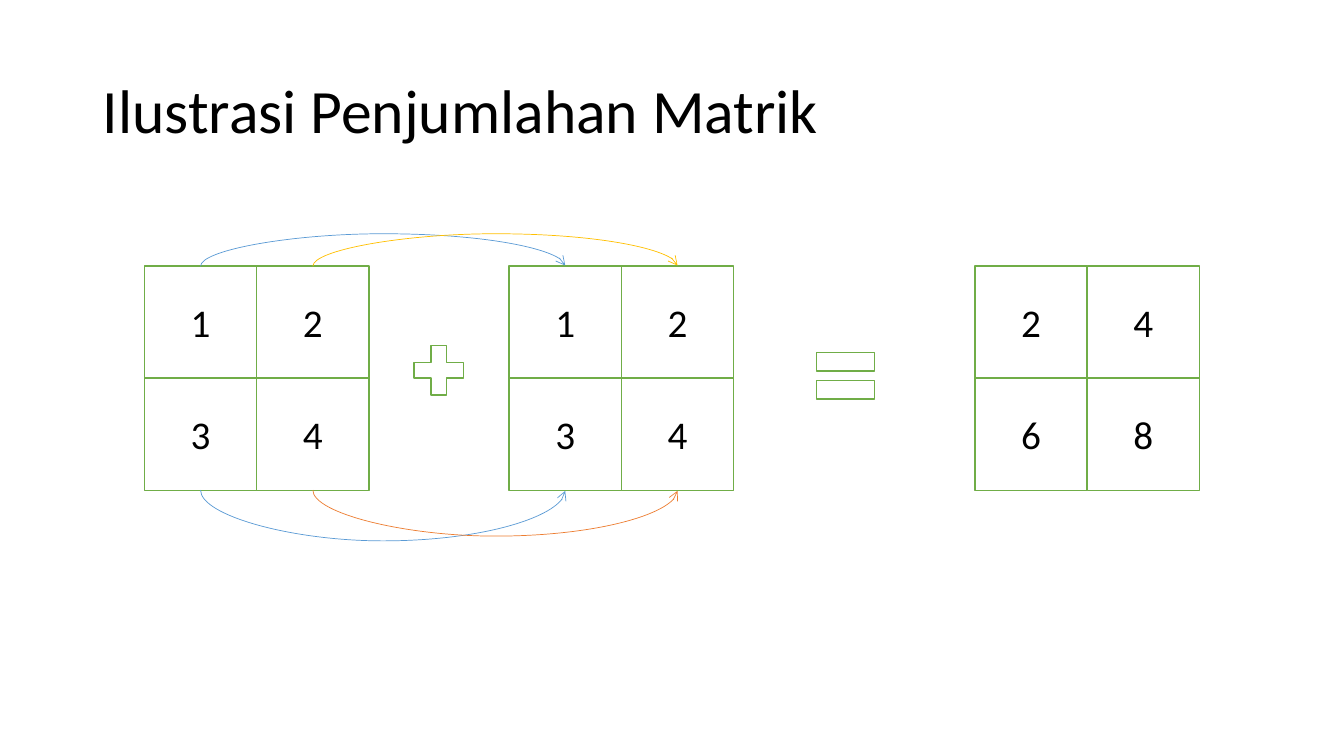
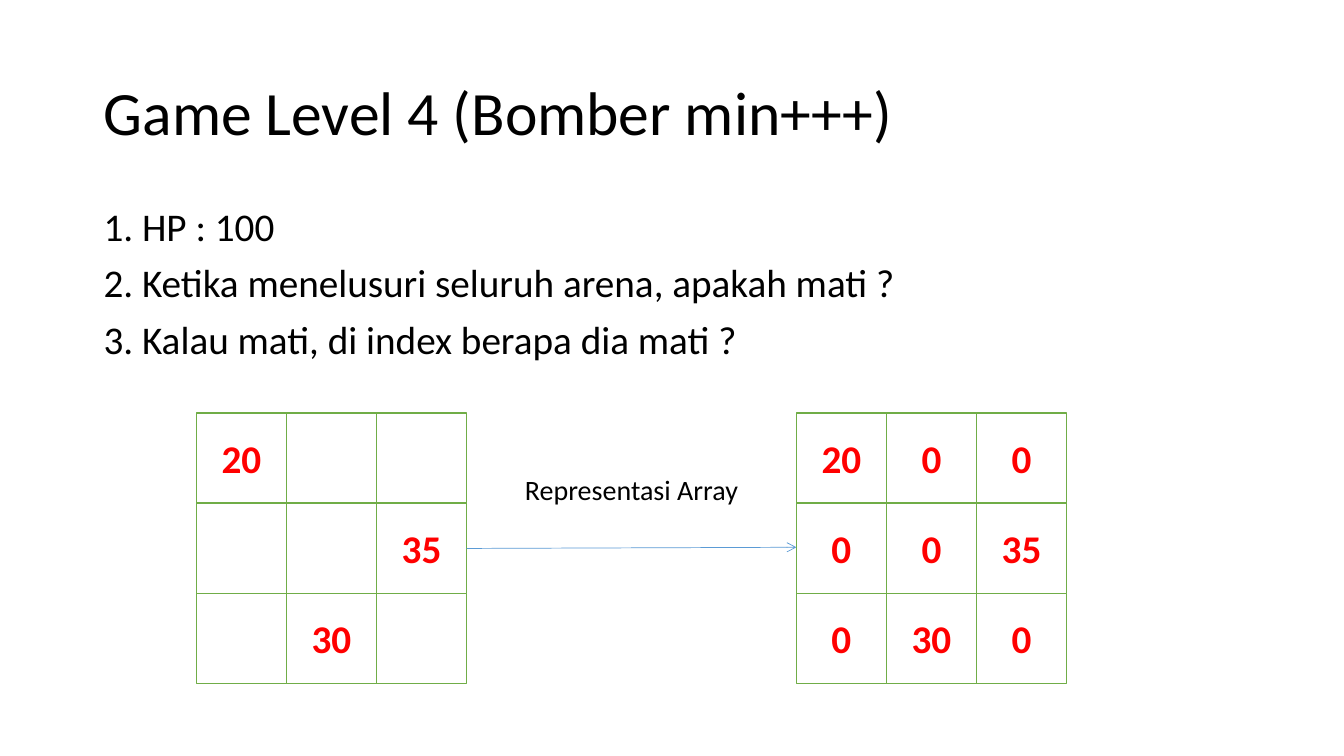
from lxml.etree import SubElement
from pptx import Presentation
from pptx.dml.color import RGBColor
from pptx.enum.shapes import MSO_CONNECTOR as CONN, MSO_SHAPE as SHAPE
from pptx.enum.text import MSO_ANCHOR as ANCHOR, MSO_AUTO_SIZE as AUTO, PP_ALIGN as ALIGN
from pptx.oxml.ns import qn
from pptx.util import Cm, Pt

COLORS = {"text": "000000", "paper": "FFFFFF", "green": "70AD47", "blue": "5B9BD5",
          "gold": "FFC000", "orange": "ED7D31", "red": "FF0000"}
FONT = "Calibri"
TITLE_ONLY = 5


def rgb(name):
    return RGBColor.from_string(COLORS[name])


class Deck:
    """Shared style and the slide being filled."""

    def __init__(self, prs):
        self.prs = prs
        self.s = None

    def slide(self, title, left, top):
        self.s = self.prs.slides.add_slide(self.prs.slide_layouts[TITLE_ONLY])
        sp = self.s.shapes.title
        sp.left, sp.top, sp.width, sp.height = Cm(left), Cm(top), Cm(29.21), Cm(3.68)
        self.fill_text(sp.text_frame, [title], 44, anchor=ANCHOR.MIDDLE, spacing=0.9)

    def fill_text(self, tf, lines, size, color="text", bold=False, align=ALIGN.LEFT,
                  anchor=ANCHOR.TOP, spacing=1.0, before=0):
        tf.word_wrap = True
        tf.auto_size = AUTO.NONE
        tf.vertical_anchor = anchor
        for i, line in enumerate(lines):
            p = tf.add_paragraph() if i else tf.paragraphs[0]
            p.alignment = align
            p.line_spacing = spacing
            p.space_before = Pt(before)
            r = p.add_run()
            r.text = line
            r.font.name = FONT
            r.font.size = Pt(size)
            r.font.bold = bold
            r.font.color.rgb = rgb(color)

    def text(self, lines, left, top, width, height, size, **style):
        sp = self.s.shapes.add_textbox(Cm(left), Cm(top), Cm(width), Cm(height))
        self.fill_text(sp.text_frame, lines, size, **style)

    def shape(self, kind, left, top, size):
        sp = self.s.shapes.add_shape(kind, Cm(left), Cm(top), Cm(size), Cm(size))
        sp.shadow.inherit = False
        sp.fill.solid()
        sp.fill.fore_color.rgb = rgb("paper")
        sp.line.color.rgb = rgb("green")
        sp.line.width = Pt(1)
        return sp

    def matrix(self, rows, left, top, cell, **style):
        for i, row in enumerate(rows):
            for j, value in enumerate(row):
                sp = self.shape(SHAPE.RECTANGLE, left + j * cell, top + i * cell, cell)
                if value is not None:
                    self.fill_text(sp.text_frame, [str(value)], 28, align=ALIGN.CENTER,
                                   anchor=ANCHOR.MIDDLE, **style)

    def arrow(self, x1, y1, x2, y2, color, kind=CONN.STRAIGHT):
        c = self.s.shapes.add_connector(kind, Cm(x1), Cm(y1), Cm(x2), Cm(y2))
        c.line.color.rgb = rgb(color)
        c.line.width = Pt(0.5)
        SubElement(c._element.spPr.find(qn("a:ln")), qn("a:tailEnd"), type="arrow")
        SubElement(c._element.spPr, qn("a:effectLst"))
        return c

    def arc(self, x1, x2, y, bulge, color):
        """Curved arrow between two points at height y; a negative bulge goes up."""
        c = self.arrow(x1, y, x2, y, color, CONN.CURVE)
        thin, span = 0.02, x2 - x1
        c.left, c.top = Cm((x1 + x2 - thin) / 2), Cm(y - span / 2)
        c.width, c.height = Cm(thin), Cm(span)
        xfrm = c._element.spPr.find(qn("a:xfrm"))
        xfrm.set("rot", str((270 if bulge < 0 else 90) * 60000))
        if bulge > 0:
            xfrm.set("flipV", "1")
        guides = c._element.spPr.find(qn("a:prstGeom")).find(qn("a:avLst"))
        SubElement(guides, qn("a:gd"), name="adj1",
                   fmla=f"val {round(abs(bulge) / thin * 100000)}")


prs = Presentation()
prs.slide_width, prs.slide_height = Cm(33.87), Cm(19.05)
deck = Deck(prs)

# Matrix addition
deck.slide("Ilustrasi Penjumlahan Matrik", 2.34, 1.02)
cell, top = 2.83, 6.7
first, second, result = 3.64, 12.83, 24.57
addend = [[1, 2], [3, 4]]
total = [[2 * value for value in row] for row in addend]
for rows, left in [(addend, first), (addend, second), (total, result)]:
    deck.matrix(rows, left, top, cell)
deck.shape(SHAPE.MATH_PLUS, 10.21, 8.48, 1.7)
deck.shape(SHAPE.MATH_EQUAL, 20.32, 8.48, 1.98)

# Arrows joining matching cells
bottom = top + 2 * cell
for col, y, bulge, color in [(0, top, -0.82, "blue"), (1, top, -0.82, "gold"),
                             (0, bottom, 1.28, "blue"), (1, bottom, 1.16, "orange")]:
    middle = (col + 0.5) * cell
    deck.arc(first + middle, second + middle, y, bulge, color)

# Game arena and its array
deck.slide("Game Level 4 (Bomber min+++)", 2.36, 1.07)
deck.text(["1. HP : 100",
           "2. Ketika menelusuri seluruh arena, apakah mati ?",
           "3. Kalau mati, di index berapa dia mati ?"],
          2.36, 5.11, 29.21, 12.09, 28, spacing=0.9, before=10)
cell, top, arena_left, array_left = 2.27, 10.41, 4.95, 20.07
arena = [[20, None, None], [None, None, 35], [None, 30, None]]
array = [[value or 0 for value in row] for row in arena]
for rows, left in [(arena, arena_left), (array, array_left)]:
    deck.matrix(rows, left, top, cell, color="red", bold=True)
deck.arrow(arena_left + 3 * cell, 13.82, array_left, 13.79, "blue")
deck.text(["Representasi Array"], 12.6, 11.79, 6.63, 1.12, 20, align=ALIGN.CENTER)

prs.save("out.pptx")
